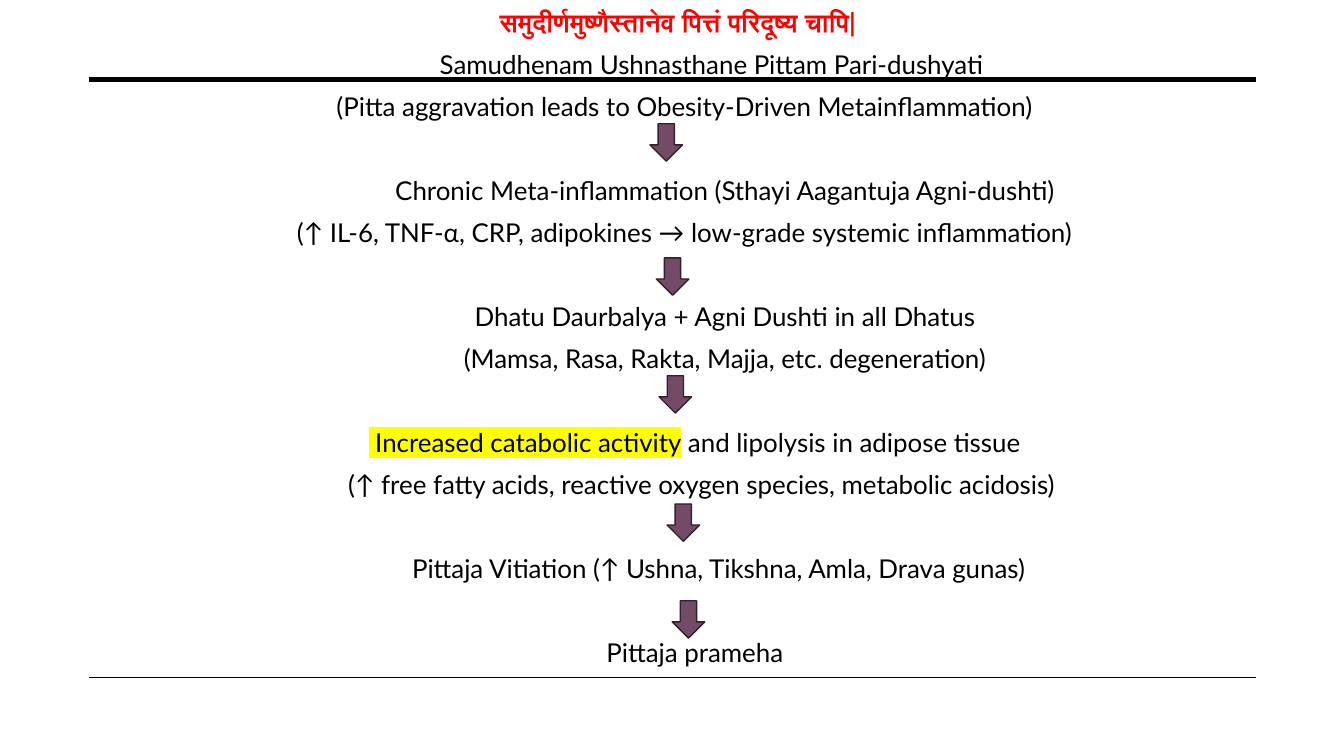
from lxml.etree import SubElement
from pptx import Presentation
from pptx.dml.color import RGBColor
from pptx.enum.shapes import MSO_CONNECTOR, MSO_SHAPE
from pptx.enum.text import MSO_ANCHOR, MSO_AUTO_SIZE, PP_ALIGN
from pptx.oxml.ns import qn
from pptx.util import Cm, Pt

COLOURS = {"verse": "FF0000", "text": "000000", "marker": "FFFF00",
           "arrow": "734B67", "arrow_edge": "32212D"}
FONT, SIZE = "Lato", 18.5
LINE_GAP, STEP_GAP = 10, 40  # points before a line, and before one below an arrow

# Each line: text, left indent in cm, space before in points
LINES = [
    ("समुदीर्णमुष्णैस्तानेव पित्तं परिदूष्य चापि|", 0, 0),
    ("Samudhenam Ushnasthane Pittam Pari-dushyati", 1.69, LINE_GAP),
    ("(Pitta aggravation leads to Obesity-Driven Metainflammation)", 0.33, LINE_GAP),
    ("Chronic Meta-inflammation (Sthayi Aagantuja Agni-dushti)", 2.37, STEP_GAP),
    ("(↑ IL-6, TNF-α, CRP, adipokines → low-grade systemic inflammation)", 0.33, LINE_GAP),
    ("Dhatu Daurbalya + Agni Dushti in all Dhatus", 2.37, STEP_GAP),
    ("(Mamsa, Rasa, Rakta, Majja, etc. degeneration)", 2.37, LINE_GAP),
    (" Increased catabolic activity| and lipolysis in adipose tissue", 0.84, STEP_GAP),
    ("(↑ free fatty acids, reactive oxygen species, metabolic acidosis)", 1.19, LINE_GAP),
    ("Pittaja Vitiation (↑ Ushna, Tikshna, Amla, Drava gunas)", 2.05, STEP_GAP),
    ("Pittaja prameha", 0.86, STEP_GAP),
]
ARROWS = [(16.38, 3.12), (16.54, 6.5), (16.61, 9.47), (16.81, 12.7), (16.94, 15.14)]
RULES = [(2.01, 3.5), (17.07, 1)]


def colour(name):
    return RGBColor.from_string(COLOURS[name])


class FlowPage:
    def __init__(self, deck):
        self.page = deck.slides.add_slide(deck.slide_layouts[1])
        title = self.page.shapes.title
        title.element.getparent().remove(title.element)

    def rule(self, top, weight):
        line = self.page.shapes.add_connector(
            MSO_CONNECTOR.STRAIGHT, Cm(2.24), Cm(top), Cm(31.65), Cm(top))
        line.line.color.rgb = colour("text")
        line.line.width = Pt(weight)
        SubElement(line.element.spPr, qn("a:effectLst"))

    def arrow(self, left, top):
        arrow = self.page.shapes.add_shape(
            MSO_SHAPE.DOWN_ARROW, Cm(left), Cm(top), Cm(0.82), Cm(0.94))
        arrow.shadow.inherit = False
        arrow.fill.solid()
        arrow.fill.fore_color.rgb = colour("arrow")
        arrow.line.color.rgb = colour("arrow_edge")
        arrow.line.width = Pt(1)

    def body(self, lines):
        box = self.page.placeholders[1]
        box.left, box.top, box.width, box.height = Cm(1.7), Cm(0.13), Cm(30.76), Cm(19)
        frame = box.text_frame
        frame.word_wrap = True
        frame.auto_size = MSO_AUTO_SIZE.NONE
        frame.vertical_anchor = MSO_ANCHOR.TOP
        for index, (text, indent, gap) in enumerate(lines):
            para = frame.add_paragraph() if index else frame.paragraphs[0]
            self.format_line(para, indent, gap, is_verse=index == 0)
            if index == 0:
                para.add_run().text = text
            else:
                self.add_spans(para, text)

    def format_line(self, para, indent, gap, is_verse):
        properties = para._p.get_or_add_pPr()
        properties.set("marL", str(Cm(indent)))
        properties.set("indent", "0")
        SubElement(properties, qn("a:buNone"))
        para.alignment = PP_ALIGN.CENTER
        para.line_spacing = 0.9
        para.space_before = Pt(gap)
        para.space_after = Pt(0)
        para.font.name = FONT
        para.font.size = Pt(SIZE)
        para.font.bold = is_verse
        para.font.color.rgb = colour("verse" if is_verse else "text")

    def add_spans(self, para, text):
        """Add the text; what stands before a bar is highlighted."""
        marked, bar, plain = text.rpartition("|")
        if bar:
            span = para.add_run()
            span.text = marked
            highlight = SubElement(span._r.get_or_add_rPr(), qn("a:highlight"))
            SubElement(highlight, qn("a:srgbClr"), val=COLOURS["marker"])
        para.add_run().text = plain


def main():
    deck = Presentation()
    deck.slide_width, deck.slide_height = Cm(33.87), Cm(19.05)
    flow = FlowPage(deck)
    for top, weight in RULES:
        flow.rule(top, weight)
    flow.body(LINES)
    for left, top in ARROWS:
        flow.arrow(left, top)
    deck.save("out.pptx")


if __name__ == "__main__":
    main()
